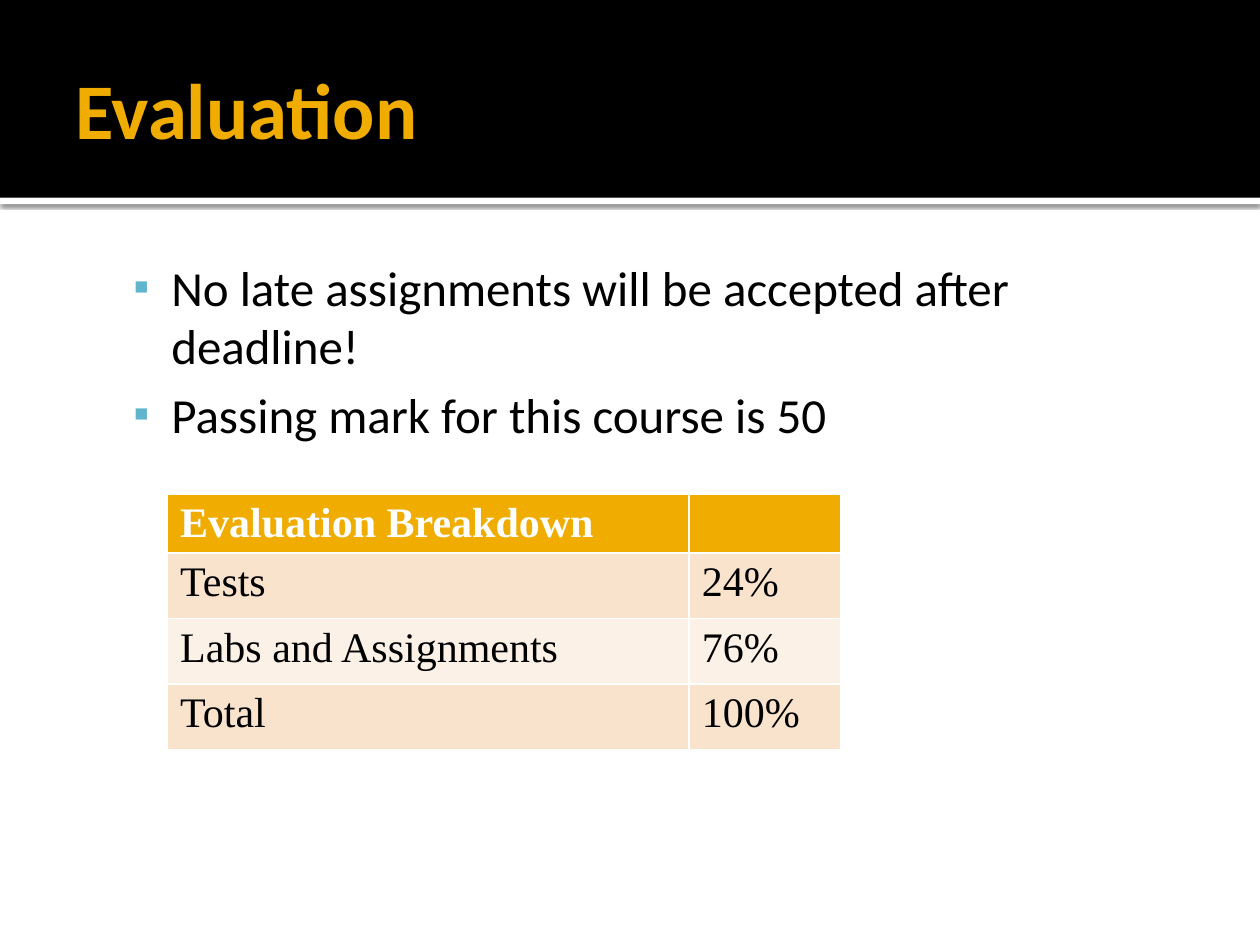
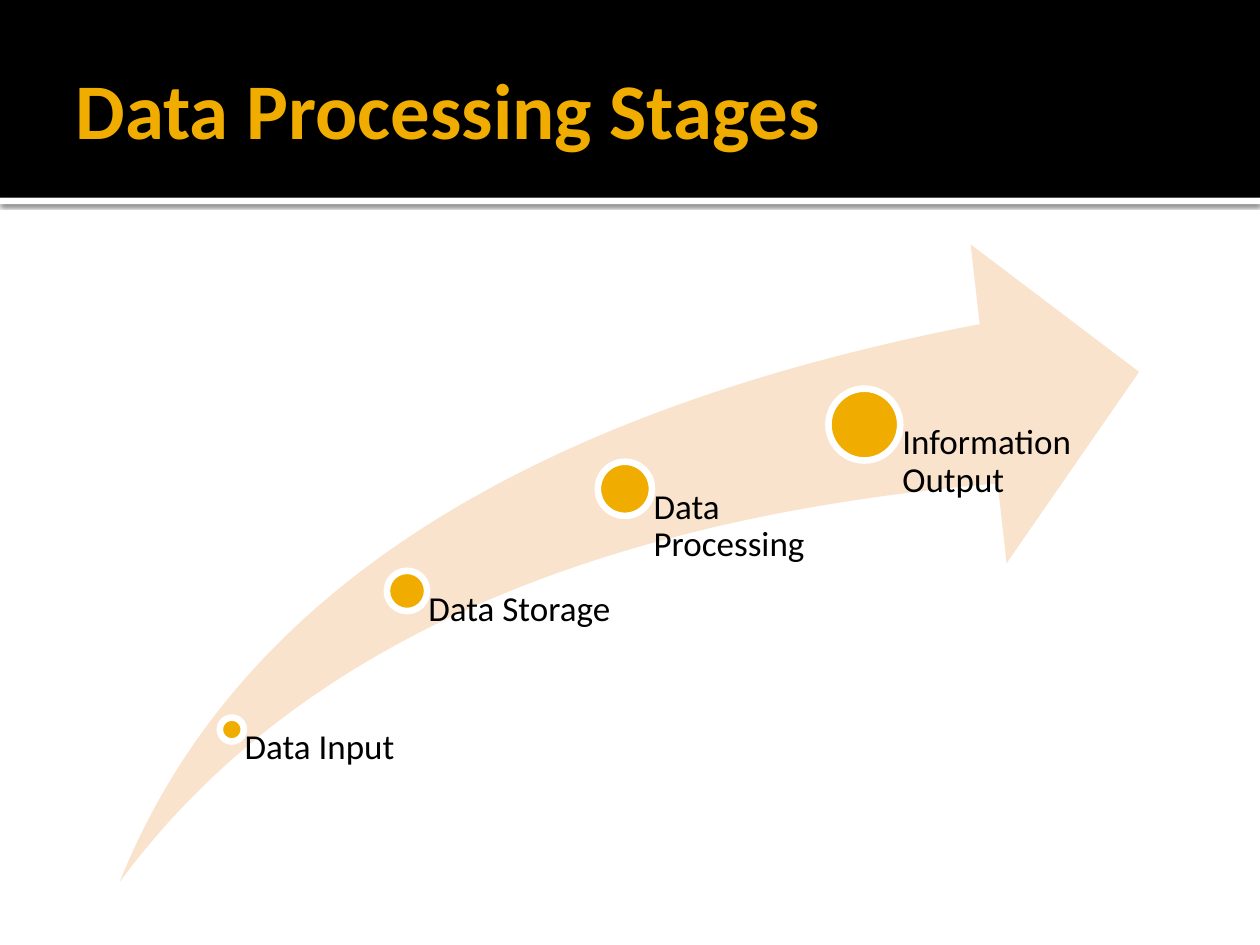
import dataclasses

import pptx
import pptx.dml.color
import pptx.enum.shapes
import pptx.enum.text
import pptx.oxml
import pptx.oxml.ns
import pptx.util
from pptx.util import Inches, Pt

SHAPE = pptx.enum.shapes.MSO_SHAPE
ANCHOR = pptx.enum.text.MSO_ANCHOR
FIT = pptx.enum.text.MSO_AUTO_SIZE
NS = pptx.oxml.ns.nsdecls("a")


@dataclasses.dataclass(frozen=True)
class Theme:
    gold: str = "F0AD00"
    black: str = "000000"
    white: str = "FFFFFF"
    peach: str = "F9E3CC"
    cream: str = "FCF1E7"
    blue: str = "60B5CC"
    sans: str = "Calibri"
    serif: str = "Times New Roman"
    title: int = 45
    body: int = 28
    cell: int = 24
    label: int = 20
    ring: float = 3.78


@dataclasses.dataclass(frozen=True)
class Box:
    left: float
    top: float
    width: float
    height: float

    def sizes(self):
        return [Inches(n) for n in dataclasses.astuple(self)]


THEME = Theme()
BAND = Box(0, 0, 10, 1.57)
RULE = Box(0, 1.57, 10, 0.05)
TITLE = Box(0.5, 0.17, 9, 1.37)
BODY = Box(0.5, 1.94, 9, 5.06)
TABLE = Box(1.33, 3.92, 5.34, 2.02)
SWOOSH = Box(0.95, 1.94, 8.09, 5.06)

RULES = [
    "No late assignments will be accepted after deadline!",
    "Passing mark for this course is 50",
]
MARKS = [
    ("Evaluation Breakdown", ""),
    ("Tests", "24%"),
    ("Labs and Assignments", "76%"),
    ("Total", "100%"),
]
# Text, dot centre within the arrow's box, dot size, label width
STAGES = [
    ("Data Input", 0.89, 3.85, 0.19, 1.38),
    ("Data Storage", 2.28, 2.75, 0.32, 1.7),
    ("Data Processing", 4.01, 1.94, 0.43, 1.7),
    ("Information Output", 5.91, 1.43, 0.57, 1.7),
]


def apply(item, **values):
    for name, value in values.items():
        setattr(item, name, value)


def rgb(code):
    return pptx.dml.color.RGBColor.from_string(code)


def style(font, name, size, color, bold=False):
    apply(font, name=name, size=Pt(size), bold=bold)
    font.color.rgb = rgb(color)


def place(shape, box):
    names = ("left", "top", "width", "height")
    apply(shape, **dict(zip(names, box.sizes())))


def frame(text, left, top, right, bottom, anchor=ANCHOR.TOP):
    """Set the insets, in inches, and the anchor of a text frame."""
    apply(text, margin_left=Inches(left), margin_top=Inches(top),
          margin_right=Inches(right), margin_bottom=Inches(bottom),
          vertical_anchor=anchor, word_wrap=True, auto_size=FIT.NONE)


def draw(slide, kind, box, fill):
    """Add a flat shape with no line."""
    shape = slide.shapes.add_shape(kind, *box.sizes())
    shape.shadow.inherit = False
    shape.fill.solid()
    shape.fill.fore_color.rgb = rgb(fill)
    shape.line.fill.background()
    return shape


def shade(shape):
    """Give a shape a soft shadow below it."""
    props = shape.element.spPr
    old = props.find(pptx.oxml.ns.qn("a:effectLst"))
    new = pptx.oxml.parse_xml(
        f'<a:effectLst {NS}><a:outerShdw blurRad="{Pt(2.5)}" '
        f'dist="{Pt(0.8)}" dir="5400000" algn="t" rotWithShape="0">'
        f'<a:srgbClr val="{THEME.black}"><a:alpha val="60000"/></a:srgbClr>'
        '</a:outerShdw></a:effectLst>')
    props.replace(old, new)


def brand(deck, slide):
    """Draw the header on a slide and move it to the back of the master."""
    rule = draw(slide, SHAPE.RECTANGLE, RULE, THEME.white)
    shade(rule)
    band = draw(slide, SHAPE.RECTANGLE, BAND, THEME.black)
    tree = deck.slide_master.shapes.element
    for step, shape in enumerate((rule, band)):
        shape.element.nvSpPr.cNvPr.set("id", str(50 + step))
        tree.insert(2 + step, shape.element)


def head(slide, text):
    title = slide.shapes.title
    place(title, TITLE)
    frame(title.text_frame, 0.1, 0.05, 0.05, 0.05, ANCHOR.MIDDLE)
    title.text_frame.text = text
    para = title.text_frame.paragraphs[0]
    para.alignment = pptx.enum.text.PP_ALIGN.LEFT
    style(para.font, THEME.sans, THEME.title, THEME.gold, True)


def bullet(para):
    props = para._p.get_or_add_pPr()
    apply(props, marL=Inches(0.8), indent=Inches(-0.3))
    props.set("marL", str(Inches(0.8)))
    props.set("indent", str(Inches(-0.3)))
    for part in (f'<a:buClr {NS}><a:srgbClr val="{THEME.blue}"/></a:buClr>',
                 f'<a:buSzPct {NS} val="90000"/>',
                 f'<a:buFont {NS} typeface="Wingdings 2"/>'.replace("Wingdings 2", THEME.sans),
                 f'<a:buChar {NS} char="▪"/>'):
        props.append(pptx.oxml.parse_xml(part))


def points(holder, box, lines):
    place(holder, box)
    text = holder.text_frame
    frame(text, 0.06, 0.1, 0.1, 0.05)
    text.text = "\n".join(lines)
    for index, para in enumerate(text.paragraphs):
        bullet(para)
        apply(para, level=1, space_before=Pt(0.2 * THEME.body if index else 0))
        style(para.font, THEME.sans, THEME.body, THEME.black)


def grid(slide, box, rows):
    table = slide.shapes.add_table(len(rows), 2, *box.sizes()).table
    for column, width in zip(table.columns, (4.14, 1.2)):
        column.width = Inches(width)
    for index, (row, texts) in enumerate(zip(table.rows, rows)):
        row.height = Inches(0.52 if index else 0.46)
        top = index == 0
        fill = THEME.gold if top else (THEME.cream, THEME.peach)[index % 2]
        for cell, text in zip(row.cells, texts):
            cell.fill.solid()
            cell.fill.fore_color.rgb = rgb(fill)
            cell.text = text
            style(cell.text_frame.paragraphs[0].font, THEME.serif, THEME.cell,
                  THEME.white if top else THEME.black, top)


def stage(slide, box, name, across, down, size, width):
    """Add one dot with its label hanging from the dot's centre."""
    left, top = box.left + across, box.top + down
    dot = draw(slide, SHAPE.OVAL,
               Box(left - size / 2, top - size / 2, size, size), THEME.gold)
    dot.line.color.rgb = rgb(THEME.white)
    dot.line.width = Pt(THEME.ring)
    area = Box(left, top, width, box.height - down)
    text = slide.shapes.add_textbox(*area.sizes()).text_frame
    frame(text, 0.53 * size, 0, 0, 0)
    text.text = name
    para = text.paragraphs[0]
    para.line_spacing = 0.9
    style(para.font, THEME.sans, THEME.label, THEME.black)


def swoosh(slide, box, stages):
    arrow = draw(slide, SHAPE.SWOOSH_ARROW, box, THEME.peach)
    for index in range(2):
        arrow.adjustments[index] = 0.25
    for item in stages:
        stage(slide, box, *item)


def marks(deck):
    slide = deck.slides.add_slide(deck.slide_layouts[1])
    head(slide, "Evaluation")
    points(slide.placeholders[1], BODY, RULES)
    grid(slide, TABLE, MARKS)
    return slide


def flow(deck):
    slide = deck.slides.add_slide(deck.slide_layouts[5])
    head(slide, "Data Processing Stages")
    swoosh(slide, SWOOSH, STAGES)


def main():
    deck = pptx.Presentation()
    apply(deck, slide_width=Inches(10), slide_height=Inches(7.5))
    brand(deck, marks(deck))
    flow(deck)
    deck.save("out.pptx")


if __name__ == "__main__":
    main()
